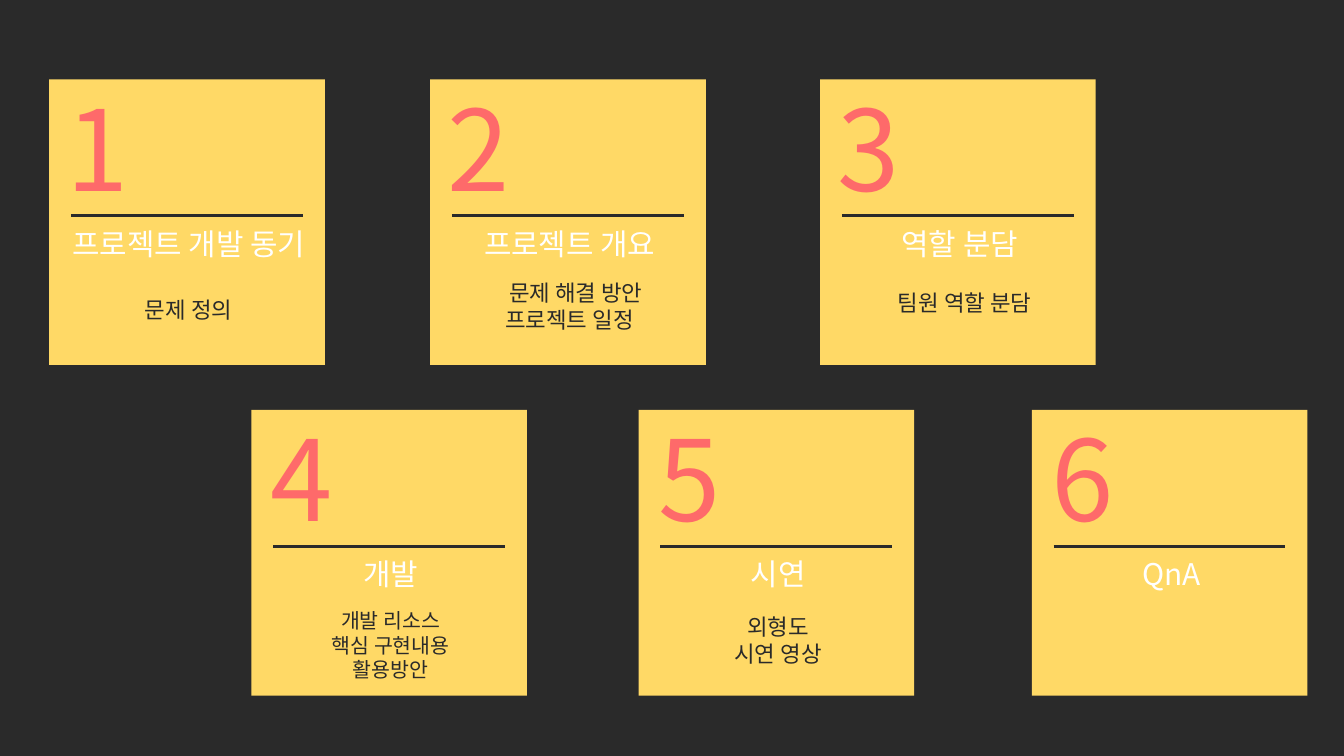
import pptx
import pptx.dml.color
import pptx.enum.shapes
import pptx.enum.text
import pptx.oxml.ns
import pptx.util
import lxml.etree

Cm = pptx.util.Cm
COLOURS = {"ground": "2A2A2A", "card": "FFD966", "number": "FE6A6A", "heading": "FFFFFF"}
FONT = "Noto Sans CJK KR"
CARD_WIDTH, CARD_HEIGHT = 5.21, 5.4
UPPER, LOWER = 1.5, 7.75


class Deck:
    def __init__(self, width, height):
        self.presentation = pptx.Presentation()
        self.presentation.slide_width = Cm(width)
        self.presentation.slide_height = Cm(height)
        self.slide = None

    def colour(self, name):
        return pptx.dml.color.RGBColor.from_string(COLOURS[name])

    def add_slide(self, layout):
        self.slide = self.presentation.slides.add_slide(self.presentation.slide_layouts[layout])
        self.slide.background.fill.solid()
        self.slide.background.fill.fore_color.rgb = self.colour("ground")

    def card(self, left, top):
        card = self.slide.shapes.add_shape(
            pptx.enum.shapes.MSO_SHAPE.RECTANGLE,
            Cm(left), Cm(top), Cm(CARD_WIDTH), Cm(CARD_HEIGHT))
        card.shadow.inherit = False
        card.fill.solid()
        card.fill.fore_color.rgb = self.colour("card")
        card.line.fill.background()

    def rule(self, left, top, length):
        rule = self.slide.shapes.add_connector(
            pptx.enum.shapes.MSO_CONNECTOR.STRAIGHT,
            Cm(left), Cm(top), Cm(left + length), Cm(top))
        rule.line.color.rgb = self.colour("ground")
        rule.line.width = pptx.util.Pt(1.5)
        lxml.etree.SubElement(rule._element.spPr, pptx.oxml.ns.qn("a:effectLst"))

    def text(self, box, lines, size, colour, holder=None, first_indent=0):
        place = [Cm(length) for length in box]
        if holder is None:
            holder = self.slide.shapes.add_textbox(*place)
        else:
            holder.left, holder.top, holder.width, holder.height = place
            self.slide.shapes._spTree.append(holder._element)
        frame = holder.text_frame
        frame.word_wrap = True
        frame.auto_size = pptx.enum.text.MSO_AUTO_SIZE.NONE
        frame.vertical_anchor = pptx.enum.text.MSO_ANCHOR.MIDDLE
        frame.margin_left = frame.margin_right = Cm(0.25)
        frame.margin_top = frame.margin_bottom = Cm(0.25)
        frame.text = "\n".join(lines)
        for paragraph in frame.paragraphs:
            paragraph.alignment = pptx.enum.text.PP_ALIGN.CENTER
            paragraph.space_before = pptx.util.Pt(0)
            font = paragraph.font
            font.name, font.size, font.bold = FONT, pptx.util.Pt(size), False
            font.color.rgb = self.colour(colour)
            east_asian = lxml.etree.SubElement(font._element, pptx.oxml.ns.qn("a:ea"))
            east_asian.set("typeface", FONT)
        if first_indent:
            frame.paragraphs[0]._p.get_or_add_pPr().set("marL", str(Cm(first_indent)))


AGENDA = [
    (0.93, UPPER, "프로젝트 개발 동기", ["문제 정의"], 12, 3.86, 0),
    (8.13, UPPER, "프로젝트 개요", ["문제 해결 방안", "프로젝트 일정"], 12, 3.8, 0.24),
    (15.5, UPPER, "역할 분담", ["팀원 역할 분담"], 12, 3.73, 0.2),
    (4.75, LOWER, "개발", ["개발 리소스", "핵심 구현내용", "활용방안"], 11, 3.96, 0),
    (12.07, LOWER, "시연", ["외형도", "시연 영상"], 12, 3.86, 0),
    (19.5, LOWER, "QnA", [], 12, 0, 0),
]


def main():
    deck = Deck(25.4, 14.29)
    deck.add_slide(4)
    holders = {holder.placeholder_format.idx: holder for holder in deck.slide.placeholders}
    for unused in (2, 4):
        element = holders[unused]._element
        element.getparent().remove(element)
    first_card = (holders[0], holders[1], holders[3])

    for number, (left, top, heading, details, size, drop, indent) in enumerate(AGENDA, 1):
        title, subtitle, body = first_card if number == 1 else (None, None, None)
        deck.card(left, top)
        deck.rule(left + 0.41, top + 2.58, 4.38)
        number_left = left + (0.08 if top == UPPER else 0.12)
        deck.text((number_left, top, 1.4, 2.54), [str(number)], 60, "number", title)
        deck.text((left - 0.05, top + 2.72, 5.38, 0.76), [heading], 16, "heading", subtitle)
        if details:
            deck.text((left + 0.03, top + drop, CARD_WIDTH, 0.97), details, size, "ground",
                      body, indent)
    deck.presentation.save("out.pptx")


if __name__ == "__main__":
    main()
